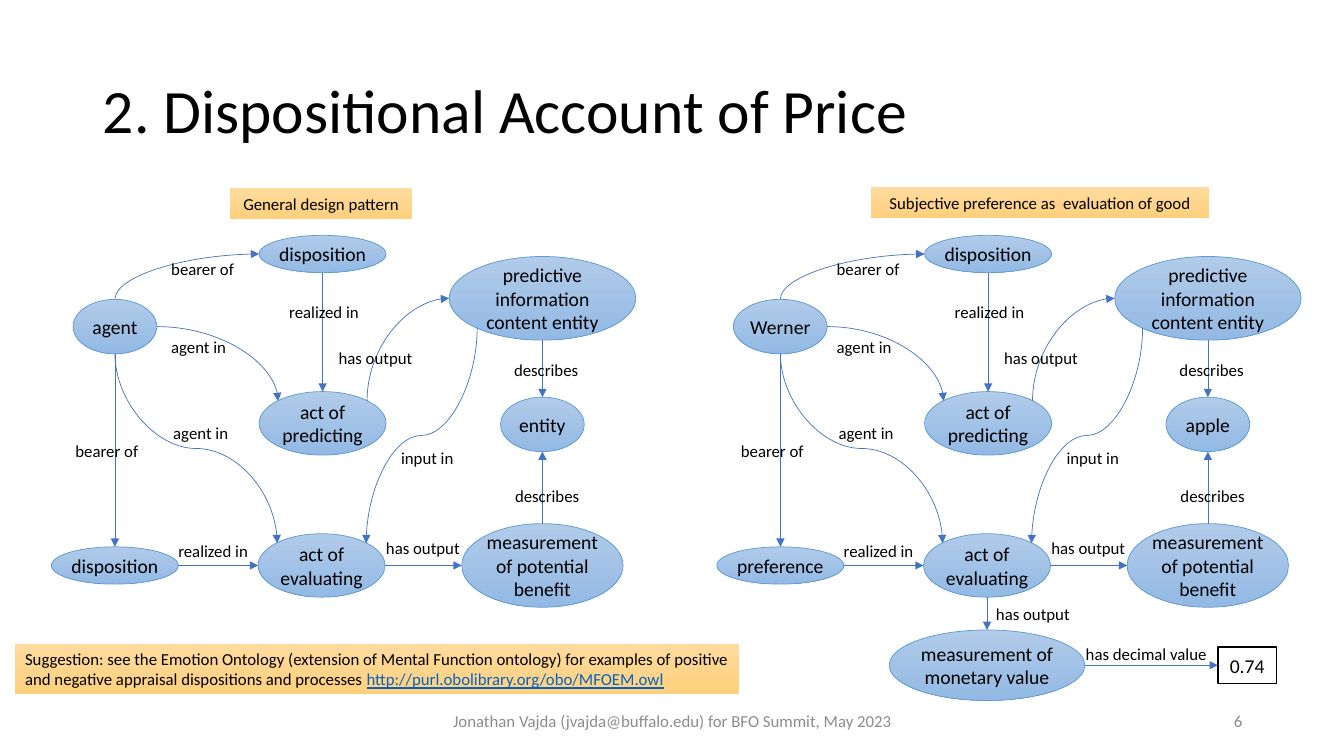
from lxml import etree
from pptx import Presentation
from pptx.dml.color import RGBColor
from pptx.enum.shapes import MSO_CONNECTOR, MSO_SHAPE
from pptx.enum.text import MSO_ANCHOR, PP_ALIGN
from pptx.oxml.ns import qn
from pptx.util import Inches, Pt

CURVE = MSO_CONNECTOR.CURVE
OVAL, RECTANGLE = MSO_SHAPE.OVAL, MSO_SHAPE.RECTANGLE
TOP, MIDDLE = MSO_ANCHOR.TOP, MSO_ANCHOR.MIDDLE
LEFT, CENTER, RIGHT = PP_ALIGN.LEFT, PP_ALIGN.CENTER, PP_ALIGN.RIGHT

BLACK = RGBColor(0x00, 0x00, 0x00)
WHITE = RGBColor(0xFF, 0xFF, 0xFF)
GRAY = RGBColor(0x8C, 0x8C, 0x8C)
LINK_BLUE = RGBColor(0x05, 0x63, 0xC1)
ARROW_BLUE = RGBColor(0x44, 0x72, 0xC4)
NODE_LINE = RGBColor(0x5B, 0x9B, 0xD5)
NODE_FILL = RGBColor(0xB1, 0xCB, 0xE9), RGBColor(0x93, 0xB9, 0xE4)
BANNER_FILL = RGBColor(0xFF, 0xDB, 0x9E), RGBColor(0xFF, 0xD0, 0x7C)

TITLE_ONLY = 5
PANEL_TOP = 2.3
PANEL_LEFTS = 0.5, 7.1
DIAGONAL = 0.35  # offset of an oval's diagonal site from its centre, in diameters
SITES = {
    "top": (0, -0.5), "bottom": (0, 0.5), "left": (-0.5, 0), "right": (0.5, 0),
    "top left": (-DIAGONAL, -DIAGONAL), "top right": (DIAGONAL, -DIAGONAL),
    "bottom left": (-DIAGONAL, DIAGONAL),
}

# Centre x, centre y, width, height within a panel
NODES = {
    "agent": (0.64, 0.94, 0.83, 0.54),
    "trigger": (2.7, 0.22, 1.26, 0.37),
    "predicting": (2.7, 1.9, 1.26, 0.63),
    "prediction": (4.88, 0.66, 1.85, 0.83),
    "entity": (4.88, 1.91, 0.83, 0.54),
    "attitude": (0.64, 3.31, 1.26, 0.37),
    "evaluating": (2.69, 3.31, 1.26, 0.63),
    "benefit": (4.88, 3.31, 1.6, 0.83),
}
NODE_TEXTS = {
    "agent": "agent",
    "trigger": "disposition",
    "predicting": "act of predicting",
    "prediction": "predictive information content entity",
    "entity": "entity",
    "attitude": "disposition",
    "evaluating": "act of evaluating",
    "benefit": "measurement of potential benefit",
}
# Start node, start site, end node, end site, label, label left, label top
LINKS = [
    ("agent", "top", "trigger", "left", "bearer of", 1.1, 0.22),
    ("agent", "right", "predicting", "top left", "agent in", 1.1, 0.99),
    ("predicting", "top right", "prediction", "left", "has output", 2.76, 1.1),
    ("prediction", "bottom", "entity", "top", "describes", 4.5, 1.22),
    ("trigger", "bottom", "predicting", "top", "realized in", 2.27, 0.64),
    ("agent", "bottom", "attitude", "top", "bearer of", 0.15, 2.02),
    ("benefit", "top", "entity", "bottom", "describes", 4.51, 2.47),
    ("agent", "bottom", "evaluating", "top left", "agent in", 1.12, 1.84),
    ("attitude", "right", "evaluating", "left", "realized in", 1.17, 3.02),
    ("evaluating", "right", "benefit", "left", "has output", 3.23, 2.99),
    ("prediction", "bottom left", "evaluating", "top right", "input in", 3.38, 2.09),
]


def write(shape, text, size=12, align=LEFT, anchor=TOP, color=BLACK, inset=None):
    frame = shape.text_frame
    settings = {"word_wrap": True, "vertical_anchor": anchor}
    if inset is not None:
        sides = "left", "top", "right", "bottom"
        settings.update({f"margin_{side}": Inches(inset) for side in sides})
    for name, value in settings.items():
        setattr(frame, name, value)
    paragraph = frame.paragraphs[0]
    paragraph.alignment = align
    add_run(paragraph, text, size, color)
    return paragraph


def add_run(paragraph, text, size, color, underline=None):
    run = paragraph.add_run()
    run.text = text
    run.font.color.rgb = color
    for name, value in {"name": "Calibri", "size": Pt(size), "underline": underline}.items():
        setattr(run.font, name, value)


def add_text(slide, box, text, **formats):
    return write(slide.shapes.add_textbox(*map(Inches, box)), text, **formats)


def add_filled_shape(slide, kind, box, colors, line_color=None, line_width=0.5):
    """One colour gives a solid fill, two give a vertical gradient."""
    shape = slide.shapes.add_shape(kind, *map(Inches, box))
    shape.shadow.inherit = False
    if len(colors) == 1:
        shape.fill.solid()
        shape.fill.fore_color.rgb = colors[0]
    else:
        shape.fill.gradient()
        shape.fill.gradient_angle = 270
        for stop, position, color in zip(shape.fill.gradient_stops, (0, 1), colors):
            stop.position = position
            stop.color.rgb = color
    if line_color is None:
        shape.line.fill.background()
    else:
        shape.line.color.rgb = line_color
        shape.line.width = Pt(line_width)
    return shape


def add_node(slide, node, text):
    x, y, width, height = node
    box = x - width / 2, y - height / 2, width, height
    oval = add_filled_shape(slide, OVAL, box, NODE_FILL, NODE_LINE)
    write(oval, text, size=14, align=CENTER, anchor=MIDDLE, inset=0)


def add_banner(slide, box, text, align=CENTER):
    return write(add_filled_shape(slide, RECTANGLE, box, BANNER_FILL), text, align=align)


def site_point(node, site):
    x, y, width, height = node
    across, down = SITES[site]
    return x + across * width, y + down * height


def add_arrow(slide, start, end, leaves_vertically=False, turns=False):
    """Draw a curved arrow; one that turns arrives at a right angle to its start."""
    (x1, y1), (x2, y2) = start, end
    if leaves_vertically:  # lay it on its side, then rotate it by a quarter turn
        x, y, run, drop = (x1 + x2) / 2, (y1 + y2) / 2, (y2 - y1) / 2, (x2 - x1) / 2
        x1, y1, x2, y2 = x - run, y + drop, x + run, y - drop
    connector = slide.shapes.add_connector(CURVE, *map(Inches, (x1, y1, x2, y2)))
    connector.line.color.rgb = ARROW_BLUE
    connector.line.width = Pt(0.5)
    properties = connector._element.spPr
    if leaves_vertically:
        properties.find(qn("a:xfrm")).set("rot", "5400000")
    if turns:
        properties.find(qn("a:prstGeom")).set("prst", "curvedConnector2")
    etree.SubElement(properties.find(qn("a:ln")), qn("a:tailEnd"), type="triangle")
    etree.SubElement(properties, qn("a:effectLst"))
    return connector


def add_panel(slide, left, top, texts, agent_width):
    nodes = {name: (left + x, top + y, width, height)
             for name, (x, y, width, height) in NODES.items()}
    nodes["agent"] = (*nodes["agent"][:2], agent_width, nodes["agent"][3])
    for name, node in nodes.items():
        add_node(slide, node, texts[name])
    sideways = "left", "right"
    for start, start_site, end, end_site, label, label_left, label_top in LINKS:
        vertical = start_site not in sideways
        add_arrow(slide, site_point(nodes[start], start_site), site_point(nodes[end], end_site),
                  vertical, vertical != (end_site not in sideways))
        add_text(slide, (left + label_left, top + label_top, 1.17, 0.3), label)
    return nodes


def add_monetary_value(slide, left, top, evaluating):
    """Extend a panel below its act of evaluating."""
    money = evaluating[0], top + 4.3, 1.94, 0.7
    add_node(slide, money, "measurement of monetary value")
    add_arrow(slide, site_point(evaluating, "bottom"), site_point(money, "top"), True)
    add_text(slide, (left + 2.68, top + 3.64, 0.96, 0.3), "has output")
    value_box = left + 4.98, top + 4.12, 0.58, 0.36
    value = add_filled_shape(slide, RECTANGLE, value_box, [WHITE], BLACK, 1)
    write(value, "0.74", size=14, align=CENTER, anchor=MIDDLE)
    arrow = add_arrow(slide, site_point(money, "right"), (left + 4.98, top + 4.3))
    arrow.end_connect(value, 1)
    add_text(slide, (left + 3.57, top + 4.04, 1.41, 0.3), "has decimal value")


def add_title(slide, box, text):
    title = slide.shapes.title
    for name, value in zip(("left", "top", "width", "height"), box):
        setattr(title, name, Inches(value))
    write(title, text, size=44, anchor=MIDDLE).line_spacing = 0.9


def add_footer(slide, top):
    add_text(slide, (3.92, top, 5.5, 0.4),
             "Jonathan Vajda (jvajda@buffalo.edu) for BFO Summit, May 2023",
             align=CENTER, anchor=MIDDLE, color=GRAY)
    add_text(slide, (9.42, top, 3, 0.4), "6", align=RIGHT, anchor=MIDDLE, color=GRAY)


def main():
    presentation = Presentation()
    presentation.slide_width, presentation.slide_height = Inches(13.33), Inches(7.5)
    slide = presentation.slides.add_slide(presentation.slide_layouts[TITLE_ONLY])
    add_title(slide, (0.92, 0.4, 11.5, 1.45), "2. Dispositional Account of Price")

    general_left, example_left = PANEL_LEFTS
    add_banner(slide, (2.28, 1.87, 1.81, 0.3), "General design pattern")
    add_panel(slide, general_left, PANEL_TOP, NODE_TEXTS, 0.83)

    add_banner(slide, (8.64, 1.86, 3.35, 0.3), "Subjective preference as  evaluation of good")
    example_texts = NODE_TEXTS | {"agent": "Werner", "entity": "apple", "attitude": "preference"}
    nodes = add_panel(slide, example_left, PANEL_TOP, example_texts, 0.93)
    add_monetary_value(slide, example_left, PANEL_TOP, nodes["evaluating"])

    suggestion = add_banner(
        slide, (0.15, 6.39, 7.18, 0.5),
        "Suggestion: see the Emotion Ontology (extension of Mental Function ontology) for "
        "examples of positive and negative appraisal dispositions and processes ", LEFT)
    add_run(suggestion, "http://purl.obolibrary.org/obo/MFOEM.owl", 12, LINK_BLUE, True)
    add_footer(slide, 6.95)
    presentation.save("out.pptx")


if __name__ == "__main__":
    main()
